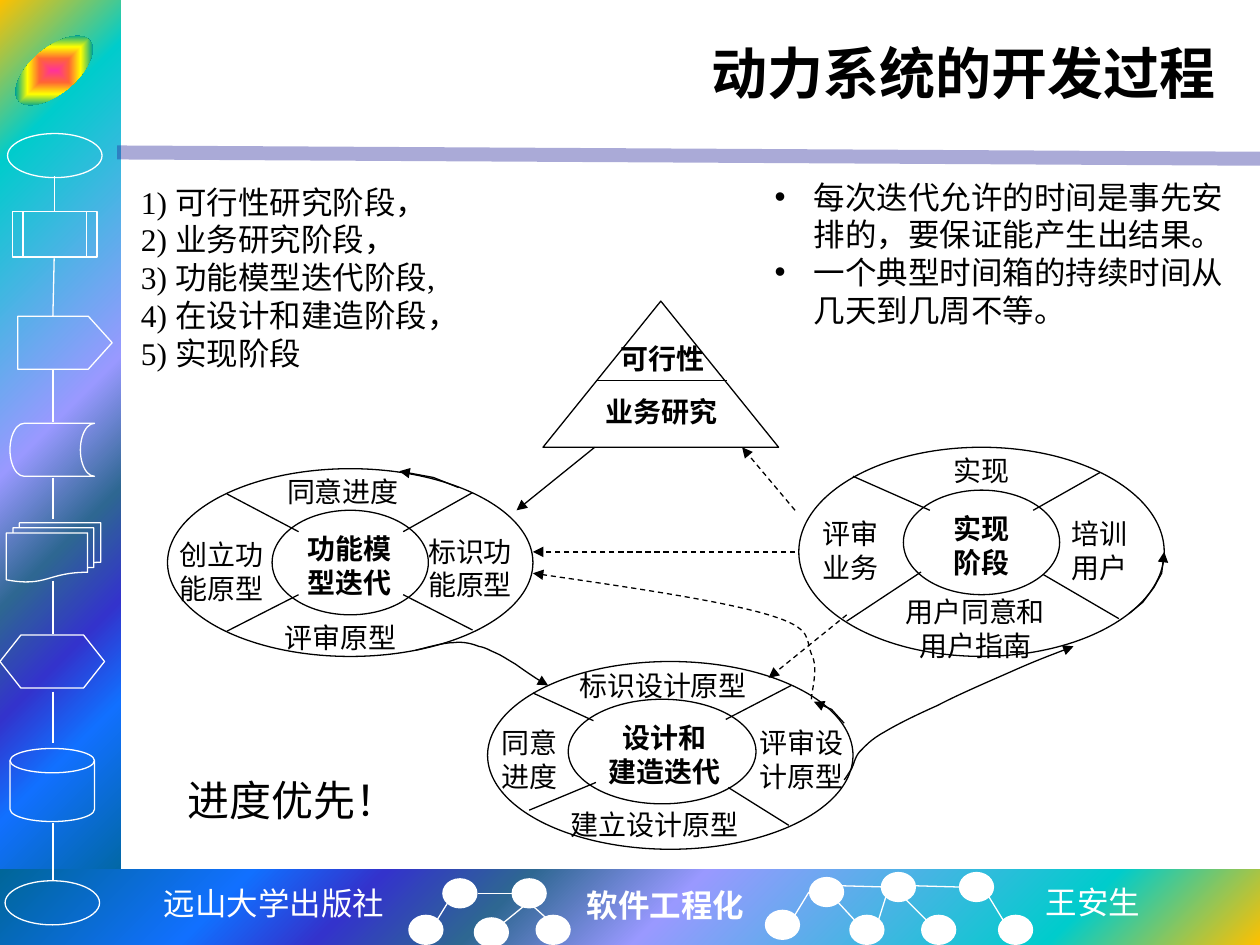
from pptx import Presentation
from pptx.dml.color import RGBColor as Rgb
from pptx.enum.dml import MSO_LINE as Dash
from pptx.enum.shapes import MSO_CONNECTOR as Conn, MSO_SHAPE as Form
from pptx.enum.text import MSO_ANCHOR as Anchor, PP_ALIGN as Align
from pptx.oxml import parse_xml
from pptx.oxml.ns import nsdecls, qn
from pptx.util import Inches, Pt
from lxml.etree import SubElement as Sub

INK = {"black": "000000", "white": "FFFFFF", "bar": "262699"}
SEA = [(0, "FFC000"), (16, "00CCCC"), (47, "9999FF"), (60, "2E6792"),
       (71, "3333CC"), (81, "1170FF"), (100, "006699")]
GLOW = [(0, "FF3399"), (25, "FF6633"), (50, "FFFF00"), (75, "01A78F"), (100, "3366FF")]


class Pen:
    def __init__(self, slide):
        self.slide = slide
        self.to = slide.shapes
        self.font = "Times New Roman"
        self.asian = "Noto Sans CJK SC"

    def group(self):
        self.to = self.slide.shapes.add_group_shape().shapes

    def stroke(self, item, ink, width=0.75, dash=False, arrow=False):
        item.line.color.rgb = Rgb.from_string(INK[ink])
        item.line.width = Pt(width)
        if dash:
            item.line.dash_style = Dash.DASH
        if arrow:
            Sub(item._element.spPr.find(qn("a:ln")), qn("a:tailEnd"), type="triangle")

    def shape(self, form, box, fill=None, line=None):
        item = self.to.add_shape(form, *map(Inches, box))
        item.shadow.inherit = False
        if fill:
            item.fill.solid()
            item.fill.fore_color.rgb = Rgb.from_string(INK[fill])
        else:
            item.fill.background()
        if line:
            self.stroke(item, line)
        else:
            item.line.fill.background()
        return item

    def blend(self, item, stops, kind, rect):
        gs = "".join(f'<a:gs pos="{p * 1000}"><a:srgbClr val="{c}"/></a:gs>' for p, c in stops)
        side = " ".join(f'{k}="{v * 1000}"' for k, v in zip("ltrb", rect))
        new = parse_xml(f'<a:gradFill {nsdecls("a")} rotWithShape="1"><a:gsLst>{gs}</a:gsLst>'
                        f'<a:path path="{kind}"><a:fillToRect {side}/></a:path></a:gradFill>')
        old = item._element.spPr.find(qn("a:noFill"))
        old.getparent().replace(old, new)

    def line(self, x1, y1, x2, y2, ink="black", width=0.75, dash=False, arrow=False, alpha=None):
        item = self.to.add_connector(Conn.STRAIGHT, *map(Inches, (x1, y1, x2, y2)))
        self.stroke(item, ink, width, dash, arrow)
        if alpha:
            tone = item._element.spPr.find(".//" + qn("a:srgbClr"))
            Sub(tone, qn("a:alpha"), val=str(alpha * 1000))
        Sub(item._element.spPr, qn("a:effectLst"))

    def curve(self, pts, bend=False, dash=False):
        pts = [(Inches(x), Inches(y)) for x, y in pts]
        draft = self.to.build_freeform(*pts[0])
        draft.add_line_segments(pts[1:], close=False)
        item = draft.convert_to_shape()
        item.shadow.inherit = False
        item.fill.background()
        self.stroke(item, "black", dash=dash, arrow=True)
        if bend:
            legs = list(item._element.iter(qn("a:lnTo")))
            for i in range(0, len(legs), 3):
                arc = Sub(legs[0].getparent(), qn("a:cubicBezTo"))
                for leg in legs[i:i + 3]:
                    arc.append(leg[0])
            for leg in legs:
                leg.getparent().remove(leg)

    def label(self, item, rows, size=16, ink="black", bold=False, align=Align.LEFT,
              font=None, wrap=True, top=True, dot=False):
        frame = item.text_frame
        frame.word_wrap = wrap
        frame.vertical_anchor = Anchor.TOP if top else Anchor.MIDDLE
        for i, row in enumerate(rows):
            para = frame.add_paragraph() if i else frame.paragraphs[0]
            para.alignment = align
            if dot:
                prop = para._p.get_or_add_pPr()
                prop.set("marL", str(Inches(0.31)))
                prop.set("indent", str(Inches(-0.31)))
                Sub(prop, qn("a:buFont"), typeface="Arial")
                Sub(prop, qn("a:buChar"), char="•")
            run = para.add_run()
            run.text = row
            run.font.size = Pt(size)
            run.font.bold = bold
            run.font.name = font or self.font
            run.font.color.rgb = Rgb.from_string(INK[ink])
            Sub(run._r.get_or_add_rPr(), qn("a:ea"), typeface=self.asian)

    def text(self, box, *rows, **style):
        self.label(self.to.add_textbox(*map(Inches, box)), rows, **style)


deck = Presentation()
deck.slide_width, deck.slide_height = Inches(10), Inches(7.5)
slide = deck.slides.add_slide(deck.slide_layouts[5])
pen = Pen(slide)
mid = Align.CENTER

title = slide.shapes.title
title.left, title.top, title.width, title.height = map(Inches, (1.25, 0.17, 8.5, 0.81))
pen.label(title, ["动力系统的开发过程"], size=32, bold=True, align=Align.RIGHT, top=False)

for box, rect in [((0, 0, 0.96, 7.09), (0, 0, 100, 100)), ((0, 6.9, 10, 0.6), (100, 100, 0, 0))]:
    pen.blend(pen.shape(Form.RECTANGLE, box), SEA, "circle", rect)
pen.line(0.93, 1.21, 10, 1.26, "bar", 8, alpha=39)

badge = pen.shape(Form.OVAL, (0.06, 0.38, 0.74, 0.36))
badge.rotation = -40
pen.blend(badge, GLOW, "shape", (50, 50, 50, 50))

for form, *box in [
    (Form.OVAL, 0.06, 1.06, 0.75, 0.35),
    (Form.FLOWCHART_PREDEFINED_PROCESS, 0.1, 1.68, 0.67, 0.36),
    (Form.PENTAGON, 0.14, 2.51, 0.75, 0.42),
    (Form.FLOWCHART_STORED_DATA, 0.08, 3.36, 0.67, 0.42),
    (Form.FLOWCHART_MULTIDOCUMENT, 0.05, 4.15, 0.75, 0.47),
    (Form.FLOWCHART_PREPARATION, 0, 5.04, 0.83, 0.42),
    (Form.FLOWCHART_MAGNETIC_DISK, 0.08, 5.94, 0.67, 0.58),
    (Form.OVAL, 0.04, 6.99, 0.75, 0.35),
]:
    icon = pen.shape(form, box, line="white")
    if form == Form.PENTAGON:
        icon.adjustments[0] = 0.45
pen.line(0.43, 1.4, 0.43, 1.68, "white")
pen.line(0.43, 2.05, 0.42, 2.51, "white")
for y1, y2 in [(2.93, 3.35), (3.79, 4.12), (4.61, 5.03), (5.49, 5.9), (6.53, 6.99)]:
    pen.line(0.42, y1, 0.42, y2, "white")

for x, y in [(3.51, 6.97), (4.06, 6.97), (3.24, 7.26), (3.76, 7.28), (4.25, 7.26),
             (6.42, 6.96), (6.99, 6.92), (7.61, 6.92), (6.07, 7.22), (6.74, 7.26),
             (7.31, 7.26), (7.92, 7.26)]:
    pen.shape(Form.OVAL, (x, y, 0.28, 0.24), fill="white")
for ends in [(3.47, 7.3, 3.55, 7.17), (4, 7.32, 4.16, 7.19), (4.06, 7.09, 3.79, 7.09),
             (4.34, 7.29, 4.24, 7.2), (6.78, 7.3, 6.65, 7.16), (7.35, 7.3, 7.15, 7.1),
             (7.96, 7.3, 7.85, 7.12), (6.97, 7.31, 7.03, 7.12), (7.26, 7.03, 7.61, 7.04),
             (6.31, 7.26, 6.42, 7.08), (6.68, 7.03, 7.03, 7.04)]:
    pen.line(*ends, "white")
foot = dict(size=18, ink="white", wrap=False)
pen.text((1.19, 6.97, 1.97, 0.4), "远山大学出版社", font="Courier New", align=mid, **foot)
pen.text((4.56, 6.98, 1.46, 0.4), "软件工程化", bold=True, **foot)
pen.text((8.2, 6.96, 0.96, 0.4), "王安生", font=pen.asian, **foot)

pen.text((1.39, 6.1, 1.88, 0.5), "进度优先！", size=24, wrap=False)
pen.text((1.02, 1.4, 2.88, 1.62), "1) 可行性研究阶段，", "2) 业务研究阶段，",
         "3) 功能模型迭代阶段,", "4) 在设计和建造阶段，", "5) 实现阶段",
         size=18, align=Align.JUSTIFY)
pen.text((6.05, 1.36, 3.81, 1.31), "每次迭代允许的时间是事先安排的，要保证能产生出结果。",
         "一个典型时间箱的持续时间从几天到几周不等。", size=18, dot=True)

pen.group()
pen.shape(Form.ISOSCELES_TRIANGLE, (4.31, 2.39, 1.87, 1.16), line="black")
pen.line(4.73, 3.02, 5.77, 3.02)
pen.text((4.74, 2.66, 1.04, 0.5), "可行性", bold=True, align=mid)
pen.text((4.63, 3.08, 1.24, 0.5), "业务研究", bold=True, align=mid)

for ring, core, rows, align in [
    ((6.34, 3.55, 2.9, 1.66), (7.17, 3.89, 1.24, 0.83), ["实现", "阶段"], mid),
    ((1.33, 3.72, 2.9, 1.49), (2.16, 4.05, 1.24, 0.83), ["功能模", "型迭代"], Align.LEFT),
    ((3.87, 5.25, 2.9, 1.49), (4.51, 5.55, 1.49, 0.83), ["设计和", "建造迭代"], mid),
]:
    pen.shape(Form.OVAL, ring, line="black")
    hub = pen.shape(Form.OVAL, core, line="black")
    pen.label(hub, rows, bold=True, align=align)
hub.text_frame.margin_left, hub.text_frame.margin_right = Inches(0.08), Inches(0.04)

for box, *rows in [
    ((6.43, 4.05, 0.79, 0.66), "评审", "业务"),
    ((8.41, 4.05, 1, 0.66), "培训", "用户"),
    ((2.18, 3.72, 1.24, 0.48), "同意进度"),
    ((1.33, 4.22, 1.04, 0.66), "创立功", "能原型"),
    ((2.16, 4.88, 1.24, 0.5), "评审原型"),
    ((3.3, 4.19, 1.04, 0.66), "标识功", "能原型"),
    ((4.43, 6.36, 1.59, 0.5), "建立设计原型"),
    ((5.93, 5.71, 1.04, 0.66), "评审设", "计原型"),
    ((3.88, 5.71, 1.04, 0.66), "同意", "进度"),
    ((4.5, 5.26, 1.55, 0.38), "标识设计原型"),
]:
    pen.text(box, *rows)
pen.text((7.17, 3.55, 1.24, 0.33), "实现", align=mid)
pen.text((7.04, 4.67, 1.4, 0.66), "用户同意和用户指南", align=mid)

for ends in [(6.77, 3.78, 7.38, 4.05), (7.31, 4.54, 6.72, 4.93), (8.28, 4.56, 8.88, 4.91),
             (8.2, 4.05, 8.73, 3.75), (1.8, 3.92, 2.37, 4.22), (2.37, 4.72, 1.8, 5.01),
             (3.2, 4.72, 3.75, 5), (3.2, 4.22, 3.75, 3.91), (4.23, 5.5, 4.71, 5.72),
             (4.73, 6.21, 4.2, 6.43), (5.76, 5.71, 6.28, 5.44), (5.78, 6.25, 6.26, 6.55)]:
    pen.line(*ends)

pen.line(4.72, 3.55, 4.1, 4.05, arrow=True)
for ends in [(6.31, 4.38, 4.23, 4.38), (6.72, 4.88, 6.1, 5.38), (6.31, 4.05, 5.89, 3.55)]:
    pen.line(*ends, dash=True, arrow=True)
pen.curve([(3.64, 3.87), (3.44, 3.79), (3.17, 3.74)])
pen.curve([(8.96, 4.87), (9.07, 4.78), (9.16, 4.66), (9.22, 4.55), (9.24, 4.38)])
pen.curve([(6.7, 5.74), (6.6, 5.63), (6.46, 5.57)])
pen.curve([(3.3, 5.16), (3.35, 5.15), (3.51, 5.1), (3.6, 5.1), (3.68, 5.09), (3.75, 5.11),
           (3.8, 5.13), (3.86, 5.14), (3.88, 5.16), (3.93, 5.18), (3.98, 5.2), (4.02, 5.23),
           (4.09, 5.27), (4.16, 5.32), (4.29, 5.41), (4.35, 5.44)], bend=True)
pen.curve([(6.7, 6.19), (6.71, 6.18), (6.74, 6.13), (6.76, 6.1), (6.78, 6.06), (6.78, 6.02),
           (6.82, 5.97), (6.87, 5.92), (6.91, 5.87), (7.02, 5.81), (7.12, 5.75), (7.26, 5.68),
           (7.44, 5.6), (7.61, 5.51), (7.87, 5.4), (8.05, 5.32), (8.23, 5.24), (8.42, 5.17),
           (8.52, 5.13)], bend=True)
pen.curve([(6.44, 5.55), (6.44, 5.49), (6.5, 5.3), (6.44, 5.19), (6.39, 5.08), (6.47, 4.99),
           (6.1, 4.88), (5.73, 4.77), (4.99, 4.66), (4.23, 4.55)], bend=True, dash=True)

deck.save("out.pptx")
